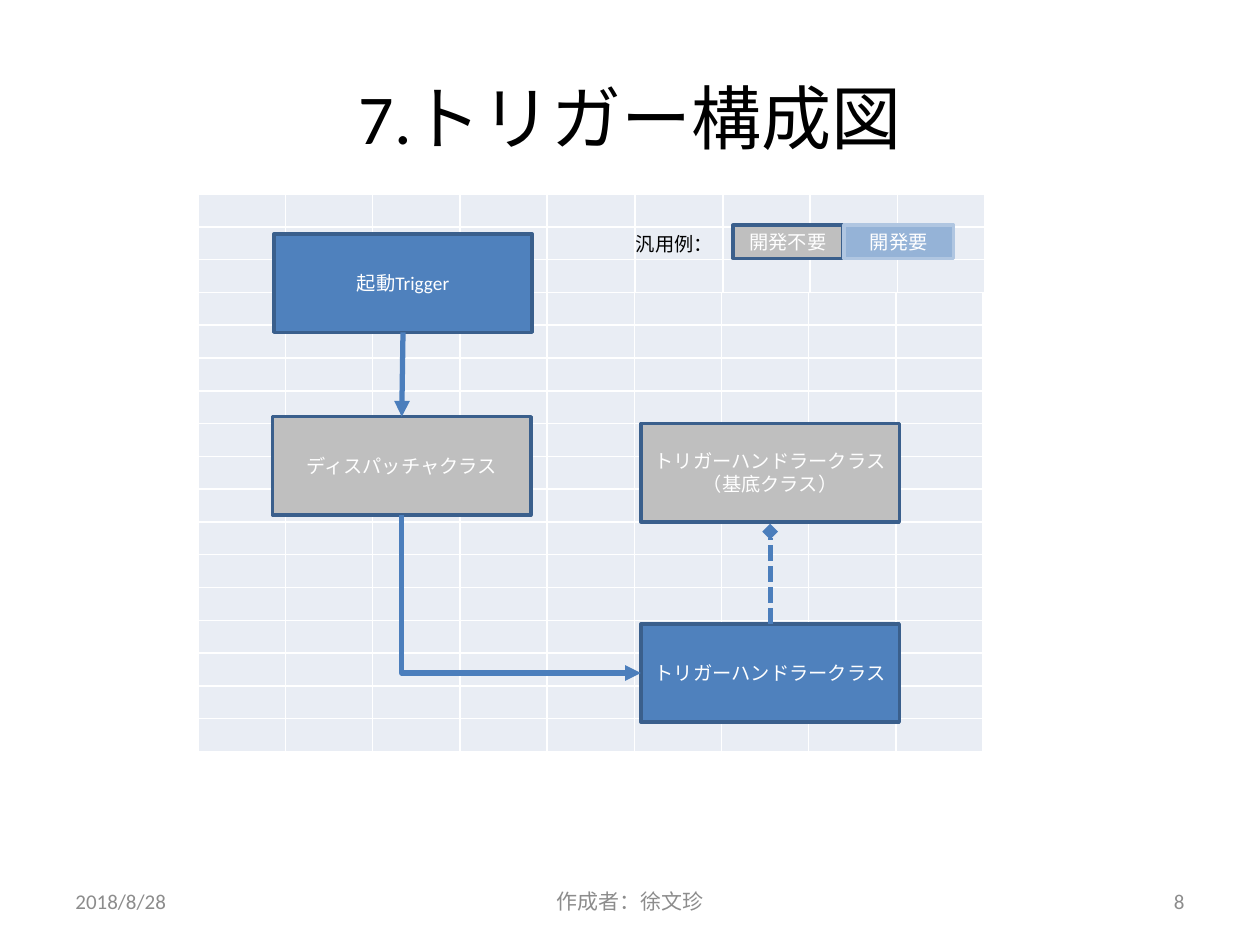
from lxml import etree
from pptx import Presentation
from pptx import util as u
from pptx.dml.color import RGBColor
from pptx.enum import dml, shapes, text
from pptx.oxml import ns

BLACK = RGBColor(0x00, 0x00, 0x00)
WHITE = RGBColor(0xFF, 0xFF, 0xFF)
FOOTER_GREY = RGBColor(0x8C, 0x8C, 0x8C)
GRID = RGBColor(0xE9, 0xED, 0xF4)
BLUE = RGBColor(0x4F, 0x81, 0xBD)
GREY = RGBColor(0xBF, 0xBF, 0xBF)
PALE_BLUE = RGBColor(0x95, 0xB3, 0xD7)
EDGE = RGBColor(0x3A, 0x5F, 0x8C)
PALE_EDGE = RGBColor(0xB0, 0xC6, 0xE1)
ARROW = RGBColor(0x4B, 0x7E, 0xBC)

LEFT, CENTER, RIGHT = text.PP_ALIGN.LEFT, text.PP_ALIGN.CENTER, text.PP_ALIGN.RIGHT


class TriggerSlide:
    """Draws styled elements on one slide, with all lengths in points."""

    font = "Calibri"
    body_size = 11

    def __init__(self, slide):
        self.slide = slide

    def set_words(self, frame, words, size, color, align):
        frame.text = words
        frame.word_wrap = True
        frame.vertical_anchor = text.MSO_ANCHOR.MIDDLE
        for paragraph in frame.paragraphs:
            paragraph.alignment = align
            for run in paragraph.runs:
                run.font.name = self.font
                run.font.size = u.Pt(size)
                run.font.color.rgb = color

    def title(self, words, *place):
        heading = self.slide.shapes.title
        heading.left, heading.top, heading.width, heading.height = map(u.Pt, place)
        self.set_words(heading.text_frame, words, 40, BLACK, CENTER)

    def footer(self, words, left, width, align):
        note = self.slide.shapes.add_textbox(*map(u.Pt, (left, 500.5, width, 28.75)))
        self.set_words(note.text_frame, words, 12, FOOTER_GREY, align)

    def box(self, words, left, top, width, height, fill, edge=EDGE):
        block = self.slide.shapes.add_shape(
            shapes.MSO_SHAPE.RECTANGLE, *map(u.Pt, (left, top, width, height)))
        block.shadow.inherit = False
        block.fill.solid()
        block.fill.fore_color.rgb = fill
        block.line.color.rgb = edge
        block.line.width = u.Pt(2)
        frame = block.text_frame
        frame.margin_left = frame.margin_right = 0
        frame.margin_top = frame.margin_bottom = 0
        self.set_words(frame, words, self.body_size, WHITE, CENTER)
        return block

    def grid(self, rows, columns, left, top, width, height):
        frame = self.slide.shapes.add_table(
            rows, columns, *map(u.Pt, (left, top, width, height)))
        table = frame.table
        table.first_row = table.horz_banding = False
        for row in table.rows:
            row.height = u.Pt(height / rows)
        for column in table.columns:
            column.width = u.Pt(width / columns)
        for cell in table.iter_cells():
            cell.margin_left = cell.margin_right = 0
            cell.margin_top = cell.margin_bottom = 0
            paragraph = cell.text_frame.paragraphs[0]._p
            etree.SubElement(paragraph, ns.qn("a:endParaRPr"), sz=str(self.body_size * 100))
            self.cell_borders(cell)
            cell.fill.solid()
            cell.fill.fore_color.rgb = GRID
        return table

    def cell_borders(self, cell):
        properties = cell._tc.get_or_add_tcPr()
        for side in ("a:lnL", "a:lnR", "a:lnT", "a:lnB"):
            border = etree.SubElement(properties, ns.qn(side), w=str(int(u.Pt(1))))
            paint = etree.SubElement(border, ns.qn("a:solidFill"))
            etree.SubElement(paint, ns.qn("a:srgbClr"), val=str(WHITE))

    def cell_text(self, cell, words):
        self.set_words(cell.text_frame, words, self.body_size, BLACK, LEFT)
        cell.vertical_anchor = text.MSO_ANCHOR.MIDDLE

    def arrow(self, start, end, head="triangle", dash=None):
        link = self.slide.shapes.add_connector(
            shapes.MSO_CONNECTOR.STRAIGHT, *map(u.Pt, start + end))
        link.line.color.rgb = ARROW
        link.line.width = u.Pt(3)
        if dash:
            link.line.dash_style = dash
        properties = link._element.spPr
        etree.SubElement(properties.find(ns.qn("a:ln")), ns.qn("a:tailEnd"), type=head)
        etree.SubElement(properties, ns.qn("a:effectLst"))
        return link

    def corner_arrow(self, start, end):
        across, down = end[0] - start[0], end[1] - start[1]
        left = start[0] + (across - down) / 2
        top = start[1] + (down - across) / 2
        link = self.arrow((left, top), (left + down, top + across))
        properties = link._element.spPr
        properties.find(ns.qn("a:prstGeom")).set("prst", "bentConnector2")
        turn = properties.find(ns.qn("a:xfrm"))
        turn.set("rot", str(270 * 60000))
        turn.set("flipH", "1")


presentation = Presentation()
presentation.slide_width, presentation.slide_height = u.Pt(720), u.Pt(540)
page = TriggerSlide(presentation.slides.add_slide(presentation.slide_layouts[5]))

page.title("7.トリガー構成図", 36, 21.6, 648, 90)
page.footer("8", 516, 168, RIGHT)
page.grid(17, 9, 113.3, 110.9, 448.6, 318.75)

BOX = (147.6, 56.2)
trigger = page.box("起動Trigger", 156.5, 133.7, *BOX, BLUE)
dispatcher = page.box("ディスパッチャクラス", 155.8, 238.1, *BOX, GREY)
page.box("トリガーハンドラークラス", 366.3, 356.5, *BOX, BLUE)
page.box("トリガーハンドラークラス\n（基底クラス）", 366.3, 242, *BOX, GREY)

launch = page.arrow((230.3, 189.9), (229.6, 238.1))
launch.begin_connect(trigger, 2)
launch.end_connect(dispatcher, 0)
page.corner_arrow((229.6, 294.3), (366.3, 384.6))
page.arrow((440.1, 356.5), (440.1, 303.8), "diamond", dml.MSO_LINE.SQUARE_DOT)

legend = page.grid(3, 4, 363.3, 110.9, 199.4, 56.25)
page.cell_text(legend.cell(1, 0), "汎用例：")
page.box("開発不要", 418.9, 128.7, 62.6, 19, GREY)
page.box("開発要", 482.4, 128.7, 62.6, 19, PALE_BLUE, PALE_EDGE)

page.footer("2018/8/28", 36, 168, LEFT)
page.footer("作成者：徐文珍", 246, 228, CENTER)

presentation.save("out.pptx")
